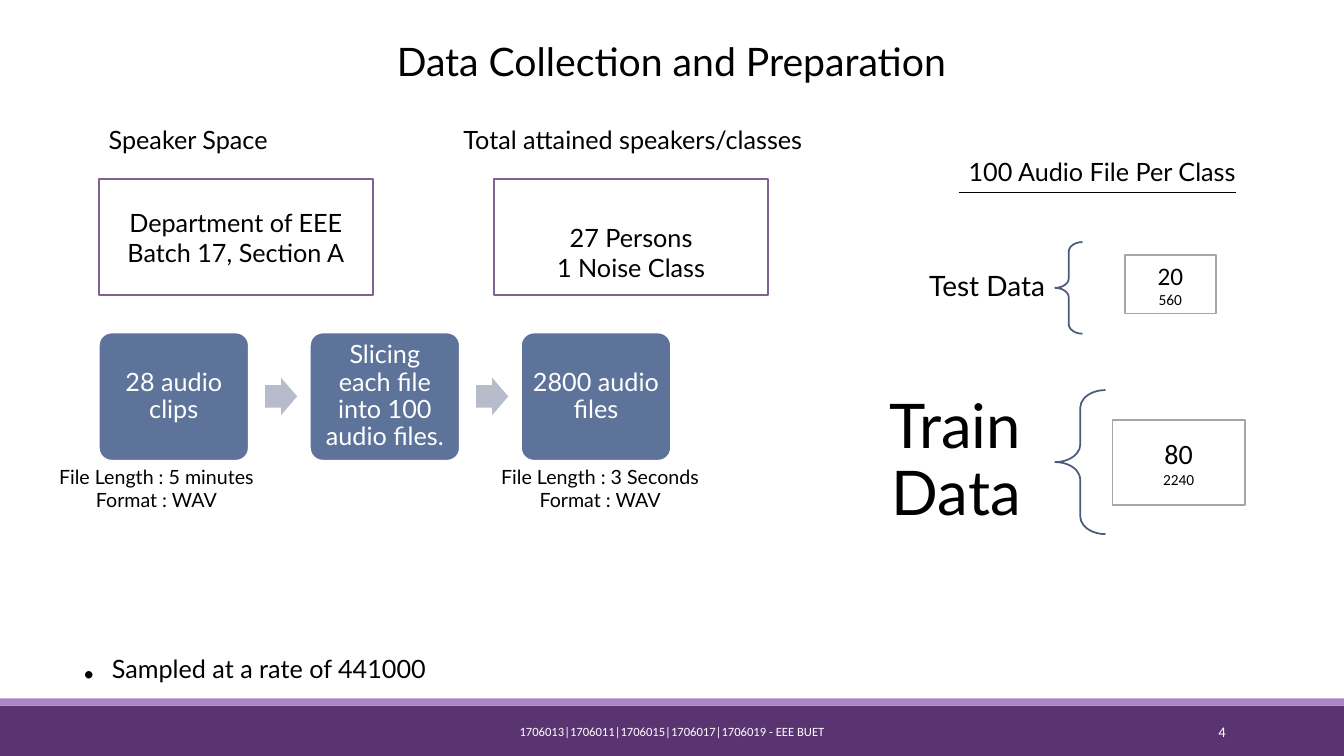
import pptx
import pptx.dml.color
import pptx.enum.shapes
import pptx.enum.text
import pptx.oxml
import pptx.util

Cm = pptx.util.Cm
Pt = pptx.util.Pt
Shape = pptx.enum.shapes.MSO_SHAPE
Align = pptx.enum.text.PP_ALIGN
Anchor = pptx.enum.text.MSO_ANCHOR

COLORS = {
    "band": "5A3471", "strip": "AD84C6", "frame": "806292", "step": "5D739A",
    "arrow": "B6BCCA", "brace": "4A5C7B", "count": "A6A6A6",
    "white": "FFFFFF", "black": "000000",
}
TIGHT = {"line_spacing": 0.9}


def rgb(name):
    """Return the named colour."""
    return pptx.dml.color.RGBColor.from_string(COLORS[name])


def write(shape, lines, size=18, color="black", font="Lato", align=Align.LEFT,
          anchor=Anchor.TOP, frame_format=None, para_format=None):
    """Fill a shape with lines; a line may be a (text, size) pair."""
    frame = shape.text_frame
    for key, value in {"word_wrap": True, "vertical_anchor": anchor,
                       **(frame_format or {})}.items():
        setattr(frame, key, value)
    for index, line in enumerate(lines):
        text, points = line if isinstance(line, tuple) else (line, size)
        para = frame.add_paragraph() if index else frame.paragraphs[0]
        for key, value in {"alignment": align, **(para_format or {})}.items():
            setattr(para, key, value)
        span = para.add_run()
        span.text = text
        for key, value in {"name": font, "size": Pt(points)}.items():
            setattr(span.font, key, value)
        span.font.color.rgb = rgb(color)


def add_label(page, box, lines, **style):
    """Add a text box."""
    label = page.shapes.add_textbox(*map(Cm, box))
    write(label, lines, **style)


def add_block(page, kind, box, fill=None, line=None, adjustments=()):
    """Add a preset shape with an optional fill and outline."""
    block = page.shapes.add_shape(kind, *map(Cm, box))
    block.shadow.inherit = False
    for index, value in enumerate(adjustments):
        block.adjustments[index] = value
    if fill:
        block.fill.solid()
        block.fill.fore_color.rgb = rgb(fill)
    else:
        block.fill.background()
    if line:
        block.line.color.rgb = rgb(line)
        block.line.width = Pt(1.25)
    else:
        block.line.fill.background()
    return block


def add_footer(page, box):
    """Place the footer bands, the credits and the page number."""
    left, top, width, height = box
    add_block(page, Shape.RECTANGLE, (left, top + 0.18, width, height - 0.18), "band")
    add_block(page, Shape.RECTANGLE, (left, top, width, 0.18), "strip")
    style = {"font": "Calibri", "color": "white", "anchor": Anchor.MIDDLE}
    add_label(page, (left + 10.24, top + 0.33, 13.39, 1.02),
              ["1706013|1706011|1706015|1706017|1706019 - EEE BUET"],
              size=9, align=Align.CENTER, **style)
    add_label(page, (left + 27.51, top + 0.33, 3.63, 1.02), ["4"],
              size=10.5, align=Align.RIGHT, **style)


def add_speaker_card(page, box, heading, lines, indent=0, top_margin=0.13):
    """Place a heading above a framed card, the card indented from it."""
    left, top, width, height = box
    add_label(page, (left, top, 9.45, 1.02), [heading])
    card = add_block(page, Shape.RECTANGLE,
                     (left + indent, top + 1.51, width, height - 1.51), line="frame")
    write(card, lines, align=Align.CENTER, anchor=Anchor.MIDDLE,
          frame_format={"margin_top": Cm(top_margin)})


def add_flow(page, box, steps):
    """Place equal steps across the box with an arrow in each gap."""
    left, top, width, height = box
    step_width = 3.78
    pitch = (width - step_width) / (len(steps) - 1)
    margins = {f"margin_{side}": Cm(0.18) for side in ("left", "right", "top", "bottom")}
    for index, text in enumerate(steps):
        x = left + index * pitch
        if index:
            add_block(page, Shape.RIGHT_ARROW, (x - 1.13, top + 1.14, 0.81, 0.94),
                      "arrow", adjustments=(0.6, 0.5))
        step = add_block(page, Shape.ROUNDED_RECTANGLE, (x, top, step_width, height),
                         "step", "white", (0.1,))
        write(step, [text], color="white", align=Align.CENTER, anchor=Anchor.MIDDLE,
              frame_format=margins, para_format=TIGHT)


def add_split_heading(page, box):
    """Place the underlined heading of the data split."""
    left, top, width, height = box
    add_label(page, box, ["100 Audio File Per Class"])
    rule = page.shapes.add_connector(
        pptx.enum.shapes.MSO_CONNECTOR.STRAIGHT,
        *map(Cm, (left, top + 1.04, left + 6.98, top + 1.04)))
    rule.line.color.rgb = rgb("black")
    rule.line.width = Pt(1)
    properties = rule._element.spPr
    properties.append(pptx.oxml.parse_xml(
        '<a:effectLst xmlns:a="http://schemas.openxmlformats.org/drawingml/2006/main"/>'))


def add_split(page, box, name, size, margin, brace_width, count_box, counts):
    """Place a name, a brace filling the box height and a framed count."""
    left, top, width, height = box
    add_label(page, (left, top, width, height), [name], size=size, align=Align.RIGHT,
              anchor=Anchor.MIDDLE, para_format=TIGHT,
              frame_format={"margin_left": Cm(margin), "margin_right": Cm(margin)})
    add_block(page, Shape.LEFT_BRACE, (left + width, top, brace_width, height),
              line="brace", adjustments=(0.35, 0.5))
    x, y, count_width, count_height = count_box
    count = add_block(page, Shape.RECTANGLE,
                      (left + x, top + y, count_width, count_height), line="count")
    write(count, counts, font="Calibri", align=Align.CENTER, anchor=Anchor.MIDDLE)


def add_sampling(page, box):
    """Place the sampling remark behind its dot."""
    left, top, width, height = box
    add_label(page, box, ["."], size=44, font="Calibri")
    add_label(page, (left + 0.77, top + 0.91, 8.66, 1.02), ["Sampled at a rate of 441000"])


def main():
    """Build the slide and save it."""
    deck = pptx.Presentation()
    deck.slide_width, deck.slide_height = Cm(33.87), Cm(19.05)
    page = deck.slides.add_slide(deck.slide_layouts[6])
    add_footer(page, (0, 17.6, 33.87, 1.45))
    add_label(page, (9.75, 0.81, 14.86, 1.45), ["Data Collection and Preparation"], size=28)
    add_speaker_card(page, (2.49, 3, 6.91, 4.44), "Speaker Space",
                     ["Department of EEE", "Batch 17, Section A"])
    add_speaker_card(page, (11.43, 3, 6.91, 4.44), "Total attained speakers/classes",
                     ["27 Persons", "1 Noise Class"], indent=1.02, top_margin=0.9)
    add_flow(page, (2.49, 8.38, 14.42, 3.23),
             ["28 audio clips", "Slicing each file into 100 audio files.", "2800 audio files"])
    for left, length in ((0.86, "5 minutes"), (12.04, "3 Seconds")):
        add_label(page, (left, 11.58, 6.17, 1.45),
                  [f"File Length : {length}", "Format : WAV"], size=14, align=Align.CENTER)
    add_split_heading(page, (24.16, 3.81, 7.49, 1.02))
    add_split(page, (20.96, 6.1, 5.63, 2.31), "Test Data", 20, 0.25, 0.69,
              (7.39, 0.33, 2.29, 1.47), [("20", 18), ("560", 11)])
    add_split(page, (20.96, 9.83, 5.63, 3.63), "Train Data", 44, 0.86, 1.27,
              (7.08, 0.76, 3.33, 2.13), [("80", 20), ("2240", 11)])
    add_sampling(page, (1.8, 15.42, 9.12, 2.13))
    deck.save("out.pptx")


if __name__ == "__main__":
    main()
